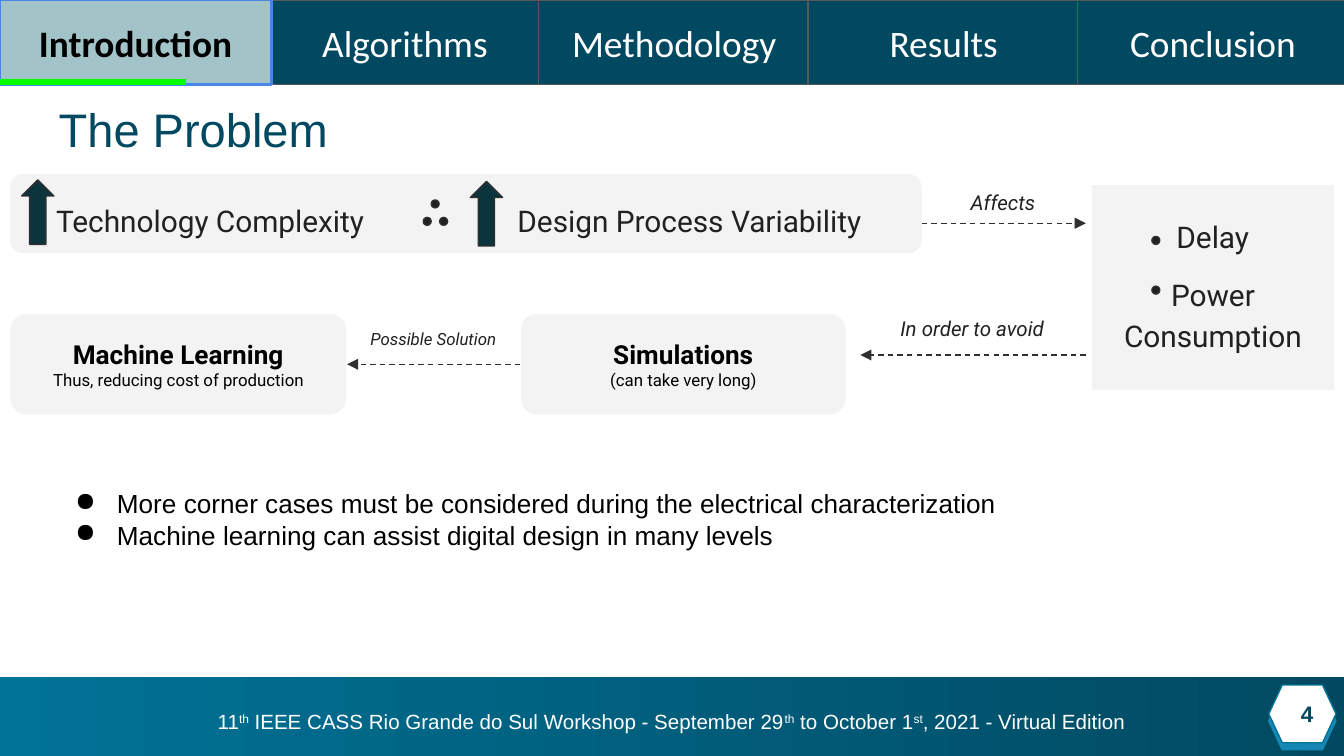
from dataclasses import dataclass

from lxml import etree
from pptx import Presentation
from pptx import util as u
from pptx.dml.color import RGBColor
from pptx.enum import dml, shapes, text
from pptx.oxml.ns import qn


@dataclass(frozen=True)
class Theme:
    navy: str = "014961"
    teal: str = "017397"
    glow: str = "1488B3"
    active: str = "A2C4C9"
    active_edge: str = "4A86E8"
    nav_edge: str = "595959"
    panel: str = "F3F3F3"
    arrow: str = "0C343D"
    edge: str = "303030"
    ink: str = "212121"
    black: str = "000000"
    white: str = "FFFFFF"
    progress: str = "00FF00"
    base: str = "Arial"
    nav: str = "Calibri"
    diagram: str = "Roboto"
    title_pt: float = 25.2
    nav_pt: float = 20
    claim_pt: float = 16
    body_pt: float = 14
    number_pt: float = 12
    label_pt: float = 11
    small_pt: float = 9


T = Theme()
KIND = shapes.MSO_SHAPE
LEFT, CENTER, RIGHT, JUSTIFY = (text.PP_ALIGN.LEFT, text.PP_ALIGN.CENTER,
                                text.PP_ALIGN.RIGHT, text.PP_ALIGN.JUSTIFY)

# Content; places are left, top, width, height in cm
TITLE = "The Problem"
SECTIONS = ["Introduction", "Algorithms", "Methodology", "Results", "Conclusion"]
ACTIVE = 0
BULLETS = ["More corner cases must be considered during the electrical characterization",
           "Machine learning can assist digital design in many levels"]
FOOTER = [("11", False), ("th", True),
          (" IEEE CASS Rio Grande do Sul Workshop - September 29", False),
          ("th", True), (" to October 1", False), ("st", True),
          (", 2021 - Virtual Edition", False)]
PAGE_NUMBER = "4"
PANELS = [((0.18, 3.28, 17.25, 1.52), 0.167), ((20.62, 3.48, 4.6, 3.91), 0)]
UP_ARROWS = [(0.41, 3.4), (8.89, 3.43)]
DOTS = [(8.15, 3.78), (8.31, 4.11), (8.0, 4.11),  # therefore sign
        (21.77, 4.47), (21.77, 5.41)]             # effect markers
CLAIMS = [("Technology Complexity", (0.81, 3.48, 7.9, 1.52), LEFT),
          ("Design Process Variability", (9.53, 3.48, 7.9, 1.52), LEFT),
          ("Delay", (21.56, 3.78, 2.72, 1.52), CENTER),
          ("Power Consumption", (20.78, 4.88, 4.29, 2.67), CENTER)]
LABELS = [("Affects", (16.81, 3.28, 4.29, 1.52), T.label_pt),
          ("In order to avoid", (16.23, 5.66, 4.29, 1.52), T.label_pt),
          ("Possible Solution", (5.89, 5.94, 4.6, 1.52), T.small_pt)]
STEPS = [("Simulations", "(can take very long)", (9.83, 5.92, 6.17, 1.93)),
         ("Machine Learning", "Thus, reducing cost of production",
          (0.18, 5.92, 6.38, 1.93))]
FLOWS = [(17.42, 4.22, 20.52, 4.22), (20.52, 6.71, 16.26, 6.71)]
NAV_PITCH, NAV_WIDTH, NAV_HEIGHT = 5.09, 5.13, 1.6

deck = Presentation()
deck.slide_width, deck.slide_height = u.Cm(25.4), u.Cm(14.29)
page = deck.slides.add_slide(deck.slide_layouts[6])


def cm(values):
    return [u.Cm(value) for value in values]


def color(code):
    return RGBColor.from_string(code)


def add_shape(kind, place, fill, edge=None, width=0.75, adjust=None):
    shape = page.shapes.add_shape(kind, *cm(place))
    shape.shadow.inherit = False
    shape.fill.solid()
    shape.fill.fore_color.rgb = color(fill)
    if edge:
        shape.line.color.rgb = color(edge)
        shape.line.width = u.Pt(width)
    else:
        shape.line.fill.background()
    if adjust is not None:
        shape.adjustments[0] = adjust
    return shape


def frame_of(box, anchor=text.MSO_ANCHOR.MIDDLE, insets=(0.25,) * 4):
    frame = box.text_frame
    frame.word_wrap = True
    frame.vertical_anchor = anchor
    (frame.margin_left, frame.margin_top,
     frame.margin_right, frame.margin_bottom) = cm(insets)
    return frame


def style(para, font, size, ink, align=LEFT, bold=False, italic=False):
    para.alignment = align
    para.font.name, para.font.size = font, u.Pt(size)
    para.font.color.rgb = color(ink)
    para.font.bold, para.font.italic = bold, italic


def write(box, lines, anchor=text.MSO_ANCHOR.MIDDLE):
    """Fill a box with (wording, style arguments) lines."""
    frame = frame_of(box, anchor)
    for index, (wording, look) in enumerate(lines):
        para = frame.add_paragraph() if index else frame.paragraphs[0]
        para.add_run().text = wording
        style(para, **look)
    return frame


def add_text(wording, place, anchor=text.MSO_ANCHOR.TOP, **look):
    box = page.shapes.add_textbox(*cm(place))
    return write(box, [(wording, look)], anchor).paragraphs[0]


def add_line(ends, ink, width, arrow=False):
    line = page.shapes.add_connector(shapes.MSO_CONNECTOR.STRAIGHT, *cm(ends))
    line.line.color.rgb = color(ink)
    line.line.width = u.Pt(width)
    if arrow:
        line.line.dash_style = dml.MSO_LINE.DASH
        etree.SubElement(line.line._get_or_add_ln(), qn("a:tailEnd"), type="triangle")
    etree.SubElement(line._element.spPr, qn("a:effectLst"))
    return line


# Footer band
band = add_shape(KIND.RECTANGLE, (-0.1, 12.8, 25.58, 1.68), T.teal)
band.fill.gradient()
band.fill.gradient_angle = 0
for stop, shade in zip(band.fill.gradient_stops, (T.teal, T.navy)):
    stop.color.rgb = color(shade)
para = frame_of(band).paragraphs[0]
for wording, raised in FOOTER:
    span = para.add_run()
    span.text = wording
    if raised:
        span.font._element.set("baseline", "30000")
style(para, T.base, T.label_pt, T.white, CENTER)

# Page number badge
badge = add_shape(KIND.FLOWCHART_PREPARATION, (23.98, 12.95, 1.27, 1.09), T.white, T.teal)
effects = badge._element.spPr.find(qn("a:effectLst"))
glow = etree.SubElement(effects, qn("a:outerShdw"), blurRad="0",
                        dist=str(u.Pt(3.8)), dir="5460000", algn="bl", rotWithShape="0")
etree.SubElement(glow, qn("a:srgbClr"), val=T.glow)
add_text(PAGE_NUMBER, (23.55, 12.95, 1.52, 1.09), text.MSO_ANCHOR.MIDDLE,
         font=T.base, size=T.number_pt, ink=T.navy, align=RIGHT, bold=True)

# Title and bullets
add_text(TITLE, (0.86, 1.65, 23.67, 1.6), font=T.base, size=T.title_pt, ink=T.navy)
box = page.shapes.add_textbox(*cm((1.12, 9.09, 19.63, 2.03)))
frame = frame_of(box, text.MSO_ANCHOR.TOP, (0.3, 0.13, 0.25, 0.13))
for index, wording in enumerate(BULLETS):
    para = frame.add_paragraph() if index else frame.paragraphs[0]
    para.add_run().text = wording
    props = para._p.get_or_add_pPr()
    props.set("marL", str(u.Cm(0.79)))
    props.set("indent", str(u.Cm(-0.89)))
    ink = etree.SubElement(props, qn("a:buClr"))
    etree.SubElement(ink, qn("a:srgbClr"), val=T.black)
    etree.SubElement(props, qn("a:buChar"), char="●")
    style(para, T.base, T.body_pt, T.black, JUSTIFY)

# Navigation bar, active tab on top
add_shape(KIND.RECTANGLE, (0, 0, 25.4, NAV_HEIGHT), T.navy, T.nav_edge)
for index in sorted(range(len(SECTIONS)), key=lambda i: i == ACTIVE):
    on = index == ACTIVE
    tab = add_shape(KIND.RECTANGLE, (index * NAV_PITCH, 0, NAV_WIDTH, NAV_HEIGHT),
                    T.active if on else T.navy, T.active_edge if on else T.nav_edge,
                    1.5 if on else 0.75)
    write(tab, [(SECTIONS[index], dict(font=T.nav, size=T.nav_pt, align=CENTER, bold=on,
                                       ink=T.black if on else T.white))])
add_line((-0.13, 1.55, 3.51, 1.55), T.progress, 3)

# Cause and effect panels
for place, corner in PANELS:
    add_shape(KIND.ROUNDED_RECTANGLE, place, T.panel, T.white, adjust=corner)
for left, top in UP_ARROWS:
    add_shape(KIND.UP_ARROW, (left, top, 0.61, 1.22), T.arrow, T.edge)
for left, top in DOTS:
    add_shape(KIND.FLOWCHART_CONNECTOR, (left, top, 0.15, 0.15), T.ink, T.edge)

# Solution steps and flow arrows
boxes = []
for heading, note, place in STEPS:
    step = add_shape(KIND.ROUNDED_RECTANGLE, place, T.panel, T.white, adjust=0.167)
    look = dict(font=T.diagram, ink=T.black, align=CENTER)
    write(step, [(heading, dict(look, size=T.body_pt, bold=True)),
                 (note, dict(look, size=T.small_pt))])
    boxes.append(step)
for ends in FLOWS:
    add_line(ends, T.edge, 0.75, arrow=True)
link = add_line((9.83, 6.89, 6.56, 6.89), T.edge, 0.75, arrow=True)
link.begin_connect(boxes[0], 1)
link.end_connect(boxes[1], 3)

# Diagram wording
wordings = [(*claim, T.claim_pt, False) for claim in CLAIMS]
wordings += [(label, place, CENTER, size, True) for label, place, size in LABELS]
for wording, place, align, size, italic in wordings:
    para = add_text(wording, place, font=T.diagram, size=size, ink=T.ink,
                    align=align, italic=italic)
    para.line_spacing, para.space_after = 1.15, u.Pt(12)

deck.save("out.pptx")
